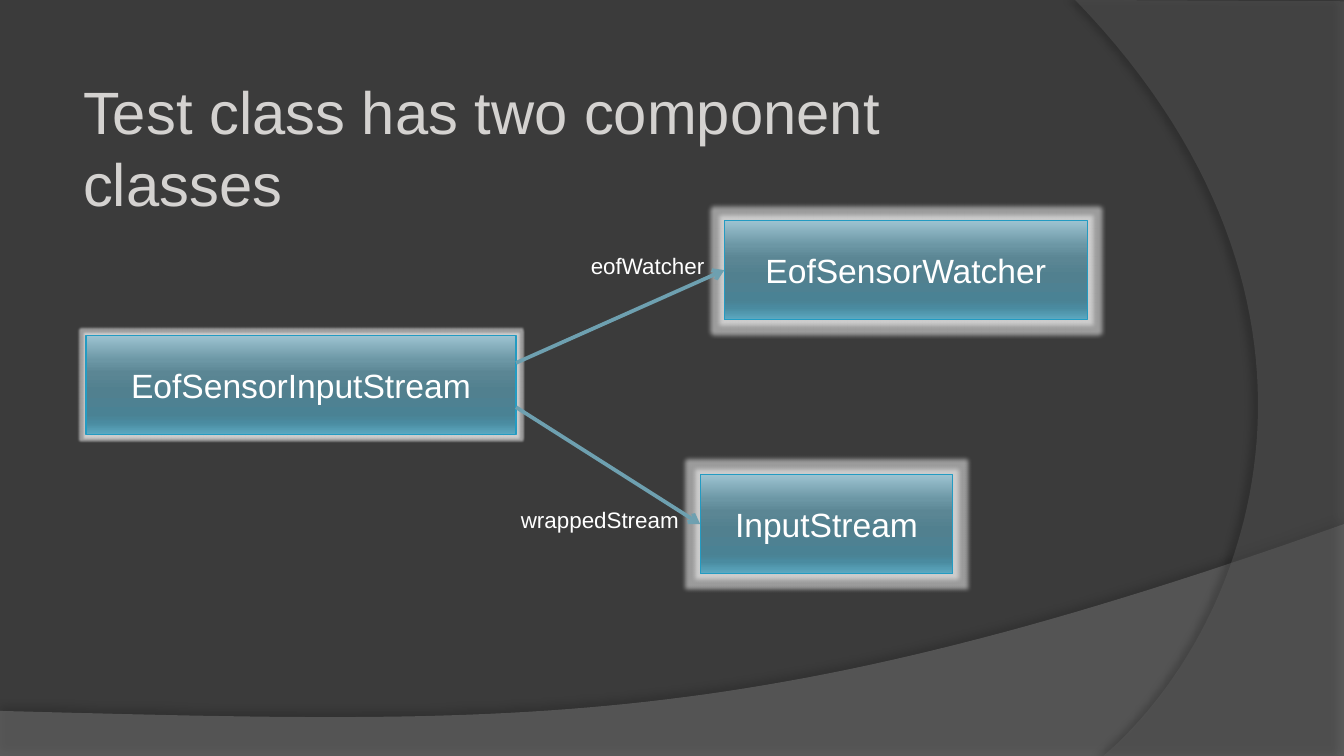
import pptx
import pptx.util
import pptx.dml.color
import pptx.enum.shapes
import pptx.enum.text
import pptx.oxml
import pptx.oxml.ns

Inches, Pt = pptx.util.Inches, pptx.util.Pt
RGB = pptx.dml.color.RGBColor
ALIGN = pptx.enum.text.PP_ALIGN
qn = pptx.oxml.ns.qn
NS = 'xmlns:a="http://schemas.openxmlformats.org/drawingml/2006/main"'

BACK = RGB(0x3B, 0x3B, 0x3B)
WHITE = RGB(0xFF, 0xFF, 0xFF)
PALE = RGB(0xD4, 0xD2, 0xD0)
EDGE = RGB(0x23, 0x9B, 0xC2)
ARROW = RGB(0x6E, 0xA0, 0xB0)
STOPS = [(0, "9EC4D2"), (25, "6C97A5"), (38, "5B8694"), (55, "51808F"),
         (80, "4A8294"), (88, "4A8BA0"), (100, "5DAAC2")]

WIDE = 10
HIGH = WIDE * 9 / 16
# Start, straight corners, curve (two controls and end), fill, opacity, shadow
WAVES = [
    ((0, 5.29), [(0, HIGH), (WIDE, HIGH), (WIDE, 3.9)],
     [(5.59, 5.47), (3.91, 5.39), (0, 5.29)],
     RGB(0x7F, 0x7F, 0x7F), 45, (35, 4, 3.5, 270)),
    ((WIDE, 0.01), [(WIDE, HIGH), (8.21, HIGH)],
     [(9.35, 4.64), (10.18, 2.25), (8, 0)],
     RGB(0x5E, 0x5E, 0x5E), 40, (45, 4, 4, 180)),
]
BOX_H = 0.74
# Name, left, top, width, glow radius
BOXES = [("EofSensorInputStream", 0.64, 2.495, 3.2, 2),
         ("EofSensorWatcher", 5.39, 1.64, 2.7, 5),
         ("InputStream", 5.21, 3.53, 1.88, 5)]
# Start height on the first box, index of the box reached
LINKS = [(2.7, 1), (3.03, 2)]
# Words, left, top, width, height, size, colour, alignment
TEXTS = [
    ("eofWatcher", 4.14, 1.83, 1.2, 0.3, 12, WHITE, ALIGN.RIGHT),
    ("wrappedStream", 3.7, 3.72, 1.45, 0.3, 12, WHITE, ALIGN.RIGHT),
    ("Test class has two component classes",
     0.52, 0.51, 6.49, 1.18, 32, PALE, ALIGN.LEFT),
]


def effect(shape, inner=""):
    """Replace the shape's effects with the given XML."""
    props = shape._element.spPr
    for old in props.findall(qn("a:effectLst")):
        props.remove(old)
    props.append(pptx.oxml.parse_xml(
        f"<a:effectLst {NS}>{inner}</a:effectLst>"))


def tint(tag, attrs, code, alpha):
    """Return XML of an effect with one translucent colour."""
    return (f'<a:{tag} {attrs}><a:srgbClr val="{code}">'
            f'<a:alpha val="{alpha * 1000}"/></a:srgbClr></a:{tag}>')


def curve(start, ctrl, steps=60):
    """Return points along a cubic curve."""
    pts = [start] + ctrl
    out = []
    for i in range(1, steps + 1):
        t = i / steps
        parts = ((1 - t) ** 3, 3 * t * (1 - t) ** 2, 3 * t * t * (1 - t), t ** 3)
        out.append(tuple(sum(w * p[k] for w, p in zip(parts, pts))
                         for k in (0, 1)))
    return out


def wave(slide, start, edges, ctrl, fill, alpha, shade):
    """Draw one translucent background sweep."""
    pts = [(Inches(x), Inches(y))
           for x, y in [start] + edges + curve(edges[-1], ctrl)]
    form = slide.shapes.build_freeform(*pts[0])
    form.add_line_segments(pts[1:], close=True)
    shape = form.convert_to_shape()
    shape.fill.solid()
    shape.fill.fore_color.rgb = fill
    clr = shape._element.spPr.find(qn("a:solidFill"))[0]
    clr.append(pptx.oxml.parse_xml(f'<a:alpha {NS} val="{alpha * 1000}"/>'))
    shape.line.fill.background()
    dark, blur, dist, turn = shade
    attrs = (f'blurRad="{Pt(blur)}" dist="{Pt(dist)}" '
             f'dir="{turn * 60000}" rotWithShape="0"')
    effect(shape, tint("outerShdw", attrs, "000000", dark))


def write(frame, words, size, color, align):
    """Put one styled paragraph in a text frame."""
    frame.word_wrap = True
    para = frame.paragraphs[0]
    para.text = words
    para.alignment = align
    para.font.size = Pt(size)
    para.font.name = "Arial"
    para.font.color.rgb = color


def box(slide, name, left, top, width, glow):
    """Draw a glowing class box."""
    shape = slide.shapes.add_shape(
        pptx.enum.shapes.MSO_SHAPE.RECTANGLE,
        *map(Inches, (left, top, width, BOX_H)))
    shape.fill.gradient()
    shape.fill.gradient_angle = 270
    stops = shape._element.spPr.find(qn("a:gradFill")).find(qn("a:gsLst"))
    for old in list(stops):
        stops.remove(old)
    for pos, code in STOPS:
        stops.append(pptx.oxml.parse_xml(
            f'<a:gs {NS} pos="{pos * 1000}"><a:srgbClr val="{code}"/></a:gs>'))
    shape.line.color.rgb = EDGE
    shape.line.width = Pt(0.75)
    effect(shape, tint("glow", f'rad="{Pt(glow)}"', "FFFFFF", 50))
    shape.text_frame.vertical_anchor = pptx.enum.text.MSO_ANCHOR.MIDDLE
    write(shape.text_frame, name, 18, WHITE, ALIGN.CENTER)


def link(slide, y, goal):
    """Draw an arrow from the first box to the left side of another."""
    _, left, _, width, _ = BOXES[0]
    _, x, top, _, _ = BOXES[goal]
    line = slide.shapes.add_connector(
        pptx.enum.shapes.MSO_CONNECTOR.STRAIGHT,
        *map(Inches, (left + width, y, x, top + BOX_H / 2)))
    line.line.color.rgb = ARROW
    line.line.width = Pt(2)
    line.line._get_or_add_ln().append(pptx.oxml.parse_xml(
        f'<a:tailEnd {NS} type="arrow"/>'))
    effect(line)


def label(slide, words, left, top, width, height, *style):
    """Add a text box."""
    area = slide.shapes.add_textbox(*map(Inches, (left, top, width, height)))
    write(area.text_frame, words, *style)


deck = pptx.Presentation()
deck.slide_width, deck.slide_height = Inches(WIDE), Inches(HIGH)
slide = deck.slides.add_slide(deck.slide_layouts[6])
slide.background.fill.solid()
slide.background.fill.fore_color.rgb = BACK
for draw, rows in ((wave, WAVES), (box, BOXES), (link, LINKS), (label, TEXTS)):
    for row in rows:
        draw(slide, *row)
deck.save("out.pptx")
